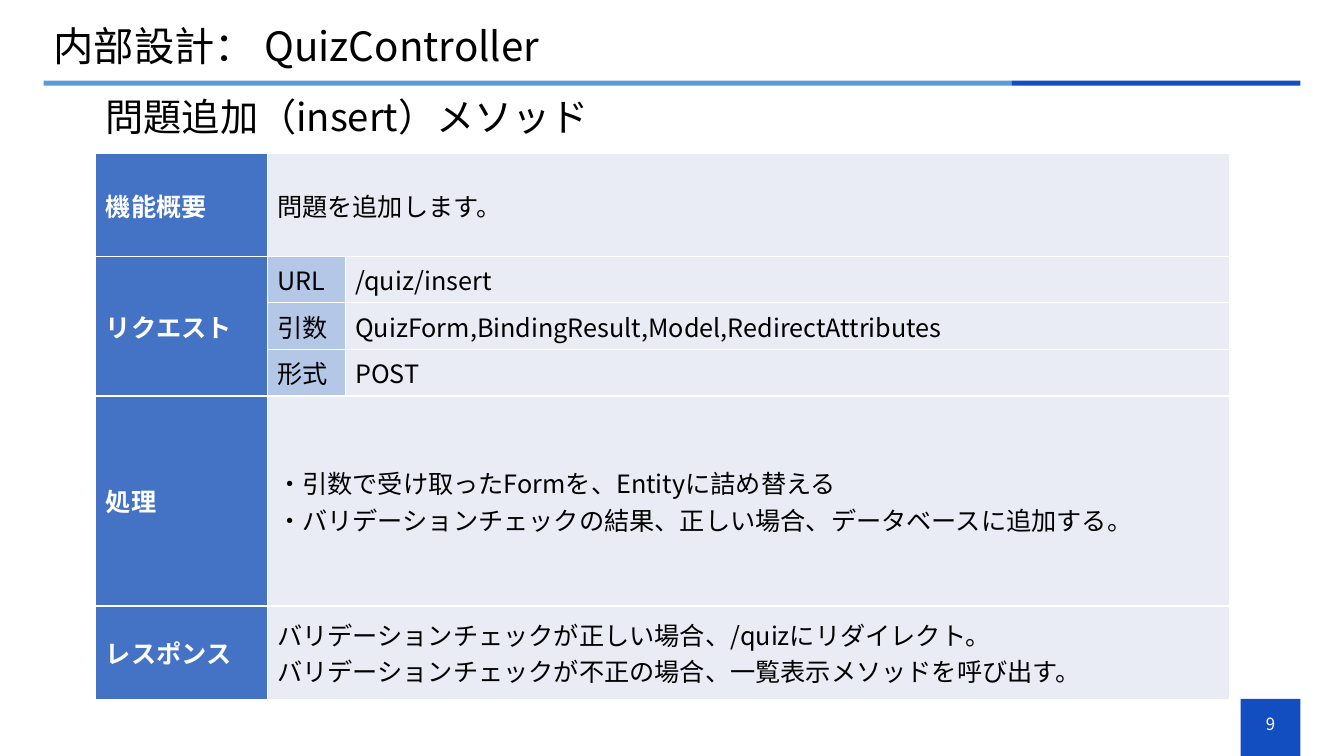
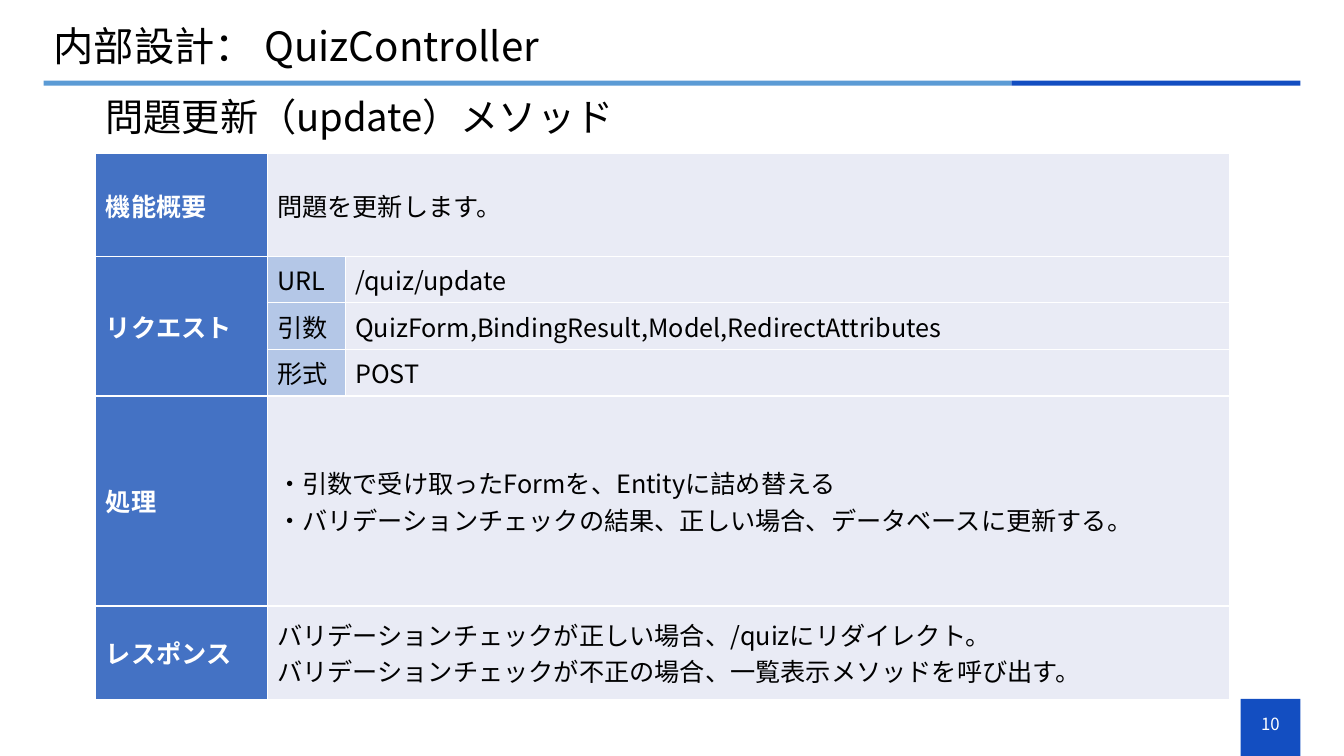
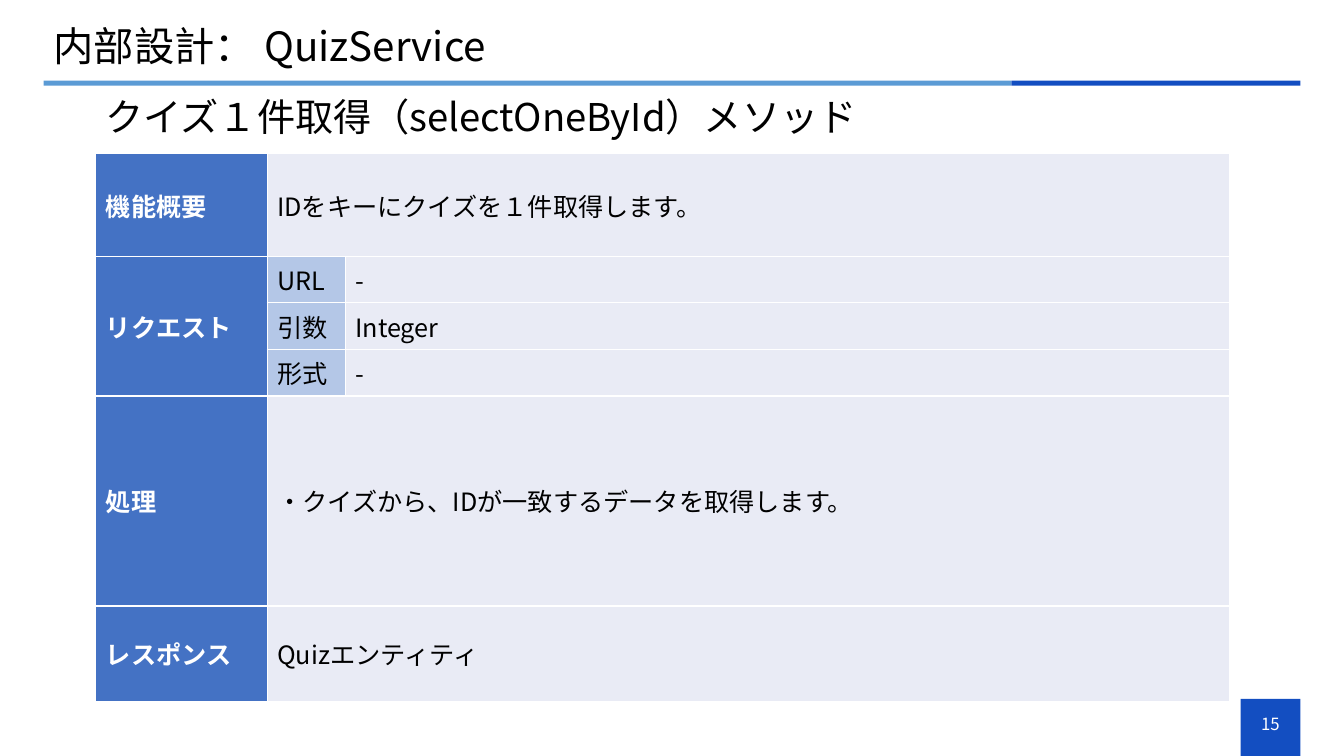
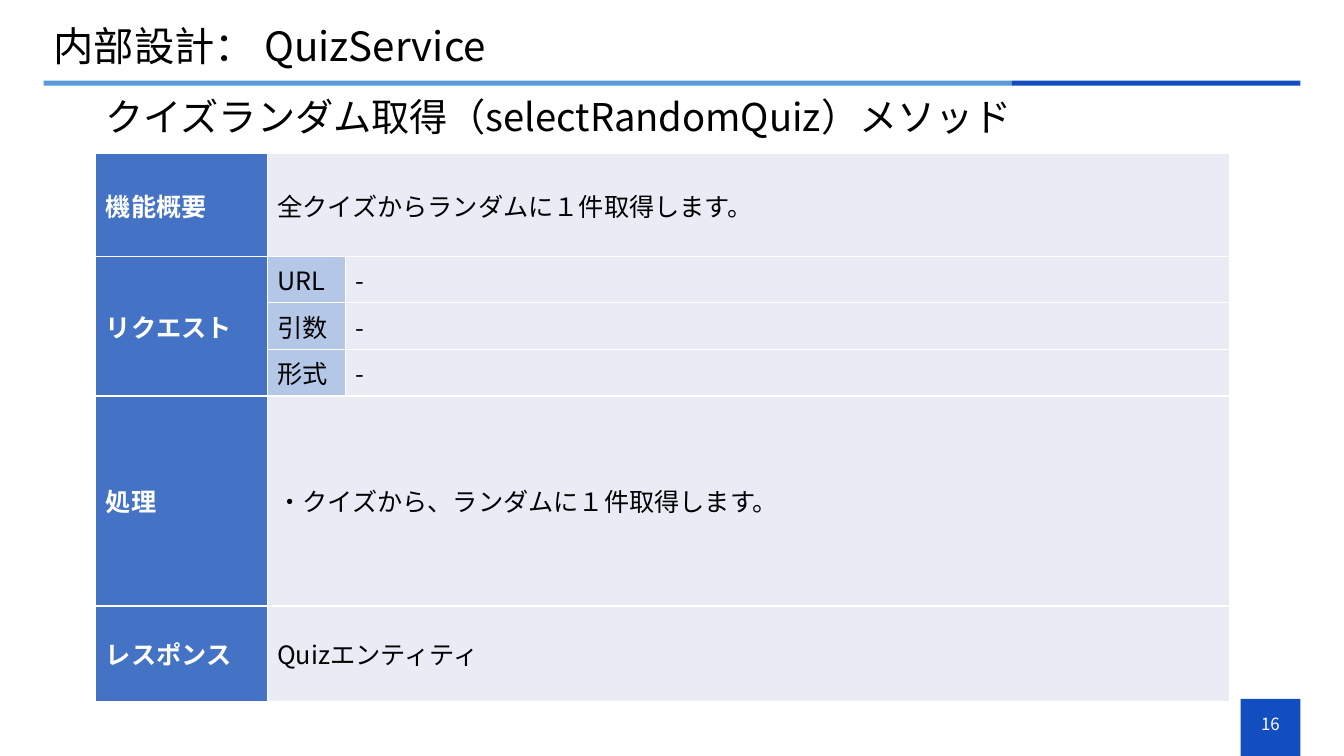
import dataclasses

import lxml.etree
import pptx
import pptx.dml.color
import pptx.enum.shapes
import pptx.enum.text
import pptx.oxml.ns
import pptx.util

GRID_COLUMNS, GRID_ROWS = 160, 90
CELL = pptx.util.Emu(76200)


@dataclasses.dataclass(frozen=True)
class Theme:
    font: str = "Noto Sans CJK JP"
    white: str = "FFFFFF"
    black: str = "000000"
    accent: str = "134EC1"
    rule: str = "5B9BD5"
    heading_fill: str = "4472C4"
    label_fill: str = "B4C7E7"
    value_fill: str = "E9EBF5"
    title_size: float = 28.8
    subtitle_size: float = 27.3
    table_size: float = 18
    number_size: float = 12
    title_spacing: float = 0.9
    border_width: float = 1


THEME = Theme()


@dataclasses.dataclass(frozen=True)
class Box:
    left: float
    top: float
    width: float
    height: float

    def inner(self, left, top, width, height):
        return Box(self.left + left * self.width, self.top + top * self.height,
                   width * self.width, height * self.height)

    def emu(self):
        return [grid(value) for value in (self.left, self.top, self.width, self.height)]


@dataclasses.dataclass(frozen=True)
class Method:
    number: int
    owner: str
    name: str
    summary: str
    request: tuple
    process: tuple
    response: tuple
    response_rows: float


MARGIN = 5.2
INDENT = 11.4
CONTENT_WIDTH = GRID_COLUMNS - 2 * MARGIN
TITLE_BOX = Box(MARGIN, 2.5, CONTENT_WIDTH, 6.6)
RULE_BOX = Box(MARGIN, 9.6, CONTENT_WIDTH, 0.6)
SUBTITLE_BOX = Box(INDENT, 10.9, GRID_COLUMNS - MARGIN - INDENT, 6.6)
BADGE_BOX = Box(GRID_COLUMNS - MARGIN - 7.1, 83.2, 7.1, 6.8)
TABLE_LEFT, TABLE_TOP, TABLE_WIDTH = INDENT, 18.3, 135
HEADING_COLUMN, LABEL_COLUMN = 20.4, 9.3
SUMMARY_ROW, REQUEST_ROW, PROCESS_ROW = 12.2, 5.55, 25
RULE_SHARE = 0.77
REQUEST_LABELS = ("URL", "引数", "形式")


def grid(value):
    return pptx.util.Emu(round(value * CELL))


def colour(code):
    return pptx.dml.color.RGBColor.from_string(code)


def write(frame, lines, size, code, bold=False, align=None, spacing=None):
    for index, line in enumerate(lines):
        para = frame.paragraphs[0] if index == 0 else frame.add_paragraph()
        para.alignment = align
        para.line_spacing = spacing
        span = para.add_run()
        span.text = line
        span.font.size = pptx.util.Pt(size)
        span.font.bold = bold
        span.font.color.rgb = colour(code)
        span.font.name = THEME.font
        east_asian = lxml.etree.SubElement(span.font._element, pptx.oxml.ns.qn("a:ea"))
        east_asian.set("typeface", THEME.font)


def add_text(page, box, text, size, code, **style):
    frame = page.shapes.add_textbox(*box.emu()).text_frame
    frame.word_wrap = True
    frame.vertical_anchor = pptx.enum.text.MSO_ANCHOR.MIDDLE
    write(frame, [text], size, code, **style)


def add_band(page, box, code):
    band = page.shapes.add_shape(pptx.enum.shapes.MSO_SHAPE.RECTANGLE, *box.emu())
    band.shadow.inherit = False
    band.fill.solid()
    band.fill.fore_color.rgb = colour(code)
    band.line.fill.background()


def add_header(page, title, subtitle):
    add_band(page, RULE_BOX.inner(0, 0, RULE_SHARE, 1), THEME.rule)
    add_band(page, RULE_BOX.inner(RULE_SHARE, 0, 1 - RULE_SHARE, 1), THEME.accent)
    for box, text, size in ((TITLE_BOX, title, THEME.title_size),
                            (SUBTITLE_BOX, subtitle, THEME.subtitle_size)):
        add_text(page, box, text, size, THEME.black, spacing=THEME.title_spacing)


def add_page_number(page, box, number):
    add_band(page, box, THEME.accent)
    add_text(page, box.inner(0, 0.09, 1, 0.7), str(number), THEME.number_size, THEME.white,
             align=pptx.enum.text.PP_ALIGN.CENTER)


def style_cell(cell, fill):
    properties = cell._tc.get_or_add_tcPr()
    for side in ("a:lnL", "a:lnR", "a:lnT", "a:lnB"):
        border = lxml.etree.SubElement(properties, pptx.oxml.ns.qn(side))
        border.set("w", str(pptx.util.Pt(THEME.border_width)))
        paint = lxml.etree.SubElement(border, pptx.oxml.ns.qn("a:solidFill"))
        lxml.etree.SubElement(paint, pptx.oxml.ns.qn("a:srgbClr")).set("val", THEME.white)
    cell.fill.solid()
    cell.fill.fore_color.rgb = colour(fill)
    cell.vertical_anchor = pptx.enum.text.MSO_ANCHOR.MIDDLE


def add_method_table(page, method):
    rows = [SUMMARY_ROW, *[REQUEST_ROW] * len(REQUEST_LABELS), PROCESS_ROW, method.response_rows]
    columns = [HEADING_COLUMN, LABEL_COLUMN, TABLE_WIDTH - HEADING_COLUMN - LABEL_COLUMN]
    box = Box(TABLE_LEFT, TABLE_TOP, TABLE_WIDTH, sum(rows))
    table = page.shapes.add_table(len(rows), len(columns), *box.emu()).table
    table.first_row = table.horz_banding = False
    for row, height in zip(table.rows, rows):
        row.height = grid(height)
    for column, width in zip(table.columns, columns):
        column.width = grid(width)

    request_rows = range(1, 1 + len(REQUEST_LABELS))
    process_row, response_row = len(rows) - 2, len(rows) - 1
    for row in range(len(rows)):
        label_fill = THEME.label_fill if row in request_rows else THEME.value_fill
        for column, fill in enumerate((THEME.heading_fill, label_fill, THEME.value_fill)):
            style_cell(table.cell(row, column), fill)
    table.cell(request_rows[0], 0).merge(table.cell(request_rows[-1], 0))

    headings = {0: "機能概要", request_rows[0]: "リクエスト",
                process_row: "処理", response_row: "レスポンス"}
    for row, heading in headings.items():
        write(table.cell(row, 0).text_frame, [heading], THEME.table_size, THEME.white, bold=True)
    for row, label, value in zip(request_rows, REQUEST_LABELS, method.request):
        for column, text in ((1, label), (2, value)):
            write(table.cell(row, column).text_frame, [text], THEME.table_size, THEME.black)
    for row, lines in ((0, [method.summary]), (process_row, method.process),
                       (response_row, method.response)):
        table.cell(row, 1).merge(table.cell(row, 2))
        write(table.cell(row, 1).text_frame, lines, THEME.table_size, THEME.black)


def add_method_page(deck, method):
    page = deck.slides.add_slide(deck.slide_layouts[6])
    add_header(page, f"内部設計： {method.owner}", f"{method.name}メソッド")
    add_page_number(page, BADGE_BOX, method.number)
    add_method_table(page, method)


def controller_method(number, action, name):
    return Method(
        number, "QuizController", f"問題{action}（{name}）", f"問題を{action}します。",
        (f"/quiz/{name}", "QuizForm,BindingResult,Model,RedirectAttributes", "POST"),
        ("・引数で受け取ったFormを、Entityに詰め替える",
         f"・バリデーションチェックの結果、正しい場合、データベースに{action}する。"),
        ("バリデーションチェックが正しい場合、/quizにリダイレクト。",
         "バリデーションチェックが不正の場合、一覧表示メソッドを呼び出す。"), 11.1)


def service_method(number, name, summary, argument, process):
    return Method(number, "QuizService", name, summary, ("-", argument, "-"),
                  (process,), ("Quizエンティティ",), 11.35)


METHODS = (
    controller_method(9, "追加", "insert"),
    controller_method(10, "更新", "update"),
    service_method(15, "クイズ１件取得（selectOneById）", "IDをキーにクイズを１件取得します。",
                   "Integer", "・クイズから、IDが一致するデータを取得します。"),
    service_method(16, "クイズランダム取得（selectRandomQuiz）", "全クイズからランダムに１件取得します。",
                   "-", "・クイズから、ランダムに１件取得します。"),
)


def main():
    deck = pptx.Presentation()
    deck.slide_width = grid(GRID_COLUMNS)
    deck.slide_height = grid(GRID_ROWS)
    for method in METHODS:
        add_method_page(deck, method)
    deck.save("out.pptx")


if __name__ == "__main__":
    main()
